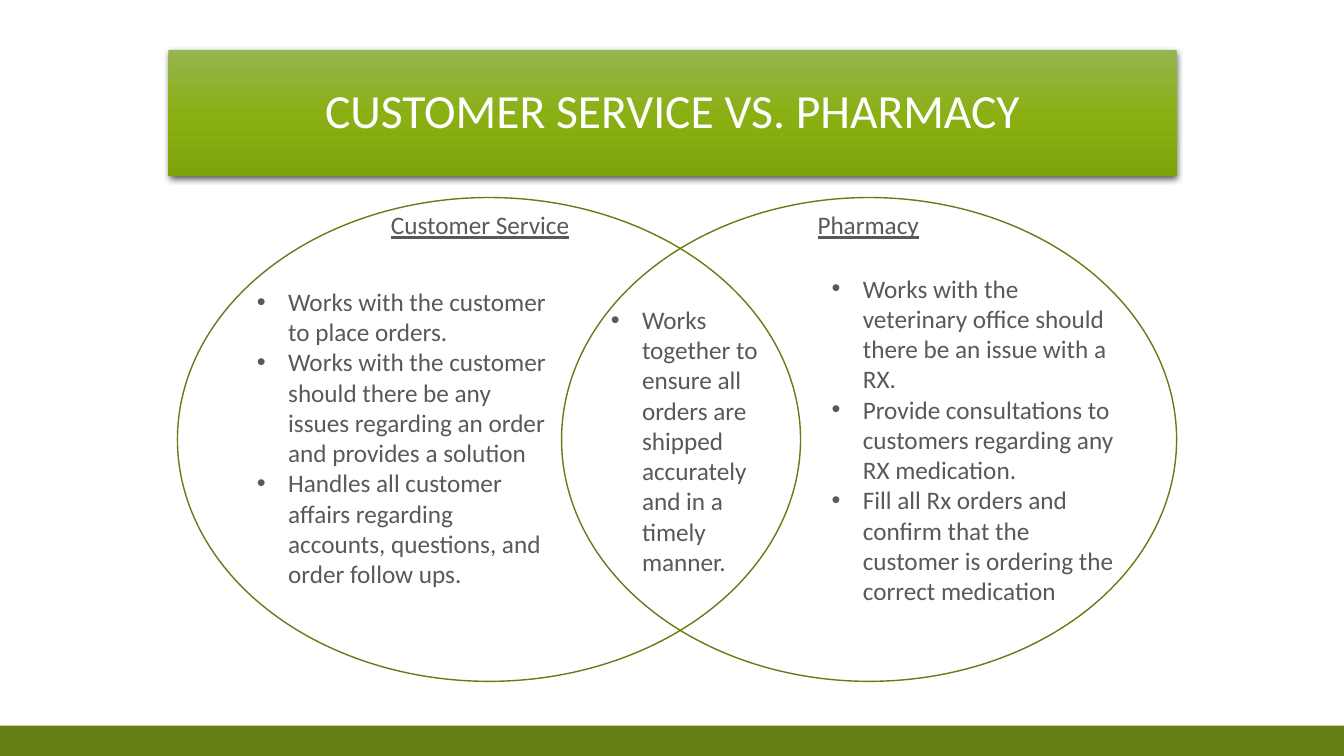
"""Builds a Venn diagram slide comparing two departments."""
from dataclasses import dataclass

from pptx import Presentation
from pptx.dml.color import RGBColor
from pptx.enum.shapes import MSO_SHAPE
from pptx.enum.text import MSO_ANCHOR, MSO_AUTO_SIZE, PP_ALIGN
from pptx.oxml import parse_xml
from pptx.oxml.ns import nsdecls
from pptx.util import Inches, Pt

RECT, OVAL = MSO_SHAPE.RECTANGLE, MSO_SHAPE.OVAL
MIDDLE, CENTER = MSO_ANCHOR.MIDDLE, PP_ALIGN.CENTER
GROW = MSO_AUTO_SIZE.SHAPE_TO_FIT_TEXT


@dataclass(frozen=True)
class Theme:
    """Colours, font and type sizes of the slide."""
    font: str = "Calibri"
    title_size: int = 34
    body_size: int = 18
    title: str = "FFFFFF"
    body: str = "595959"
    footer: str = "657F14"
    outline: str = "647D14"
    shadow: str = "000000"
    banner: tuple = ((0, "95B54E"), (50, "8BB014"), (100, "7FA30B"))


THEME = Theme()

CIRCLES = [(1.76, 6.18), (5.57, 6.1)]
HEADINGS = [
    ("Customer Service", (3.78, 2.03, 2.13, 0.4), True),
    ("Pharmacy", (8.01, 2.03, 1.22, 0.4), False),
]
LISTS = [
    ((2.45, 2.79, 3.13, 3.43), [
        "Works with the customer to place orders.",
        "Works with the customer should there be any issues regarding an order and provides a solution",
        "Handles all customer affairs regarding accounts, questions, and order follow ups.",
    ]),
    ((8.15, 2.66, 3.13, 3.43), [
        "Works with the veterinary office should there be an issue with a RX.",
        "Provide consultations to customers regarding any RX medication.",
        "Fill all Rx orders and confirm that the customer is ordering the correct medication",
    ]),
    ((5.96, 2.97, 1.8, 2.83), [
        "Works together to ensure all orders are shipped accurately and in a timely manner.",
    ]),
]


def add_shape(s, kind, box, fill=None, line=None):
    """Adds a preset shape with an optional solid fill and outline."""
    sp = s.shapes.add_shape(kind, *map(Inches, box))
    sp.shadow.inherit = False
    if fill:
        sp.fill.solid()
        sp.fill.fore_color.rgb = RGBColor.from_string(fill)
    else:
        sp.fill.background()
    if line:
        sp.line.color.rgb = RGBColor.from_string(line)
        sp.line.width = Pt(1)
    else:
        sp.line.fill.background()
    return sp


def add_run(p, text, size=THEME.body_size, color=THEME.body, underline=None):
    """Adds formatted text to a paragraph."""
    r = p.add_run()
    r.text = text
    r.font.name = THEME.font
    r.font.size = Pt(size)
    r.font.color.rgb = RGBColor.from_string(color)
    r.font.underline = underline


def add_text_box(s, box, wrap=True):
    """Adds an empty text box that grows with its text."""
    tf = s.shapes.add_textbox(*map(Inches, box)).text_frame
    tf.word_wrap = wrap
    tf.auto_size = GROW
    return tf


def add_bullets(s, box, items):
    """Adds a text box with one bulleted paragraph per item."""
    tf = add_text_box(s, box)
    for i, item in enumerate(items):
        p = tf.add_paragraph() if i else tf.paragraphs[0]
        add_run(p, item)
        pPr = p._p.get_or_add_pPr()
        pPr.set("marL", str(Inches(0.31)))
        pPr.set("indent", str(Inches(-0.31)))
        pPr.append(parse_xml(f'<a:buFont {nsdecls("a")} typeface="Arial"/>'))
        pPr.append(parse_xml(f'<a:buChar {nsdecls("a")} char="•"/>'))


def add_banner(s, text):
    """Adds the title on a gradient bar with a soft shadow."""
    sp = add_shape(s, RECT, (1.67, 0.5, 10, 1.25))
    stops = "".join(f'<a:gs pos="{pos * 1000}"><a:srgbClr val="{color}"/></a:gs>'
                    for pos, color in THEME.banner)
    spPr = sp.element.spPr
    no_fill = spPr.find("{*}noFill")
    spPr.replace(no_fill, parse_xml(
        f'<a:gradFill {nsdecls("a")} rotWithShape="1"><a:gsLst>{stops}</a:gsLst>'
        '<a:lin ang="5400000" scaled="0"/></a:gradFill>'))
    spPr.find("{*}effectLst").append(parse_xml(
        f'<a:outerShdw {nsdecls("a")} blurRad="{Pt(4.5)}" dist="{Pt(1.5)}" dir="5400000" '
        f'algn="ctr" rotWithShape="0"><a:srgbClr val="{THEME.shadow}">'
        '<a:alpha val="63000"/></a:srgbClr></a:outerShdw>'))
    tf = sp.text_frame
    tf.word_wrap = True
    tf.vertical_anchor = MIDDLE
    p = tf.paragraphs[0]
    p.alignment = CENTER
    p.line_spacing = 0.9
    add_run(p, text, size=THEME.title_size, color=THEME.title)


def main():
    """Builds and saves the slide."""
    prs = Presentation()
    prs.slide_width, prs.slide_height = Inches(13.33), Inches(7.5)
    s = prs.slides.add_slide(prs.slide_layouts[6])
    add_shape(s, RECT, (0, 7.2, 13.33, 0.3), fill=THEME.footer)
    add_banner(s, "CUSTOMER SERVICE VS. PHARMACY")
    for left, width in CIRCLES:
        add_shape(s, OVAL, (left, 1.96, width, 4.8), line=THEME.outline)
    for text, box, wrap in HEADINGS:
        add_run(add_text_box(s, box, wrap).paragraphs[0], text, underline=True)
    for box, items in LISTS:
        add_bullets(s, box, items)
    prs.save("out.pptx")


if __name__ == "__main__":
    main()
